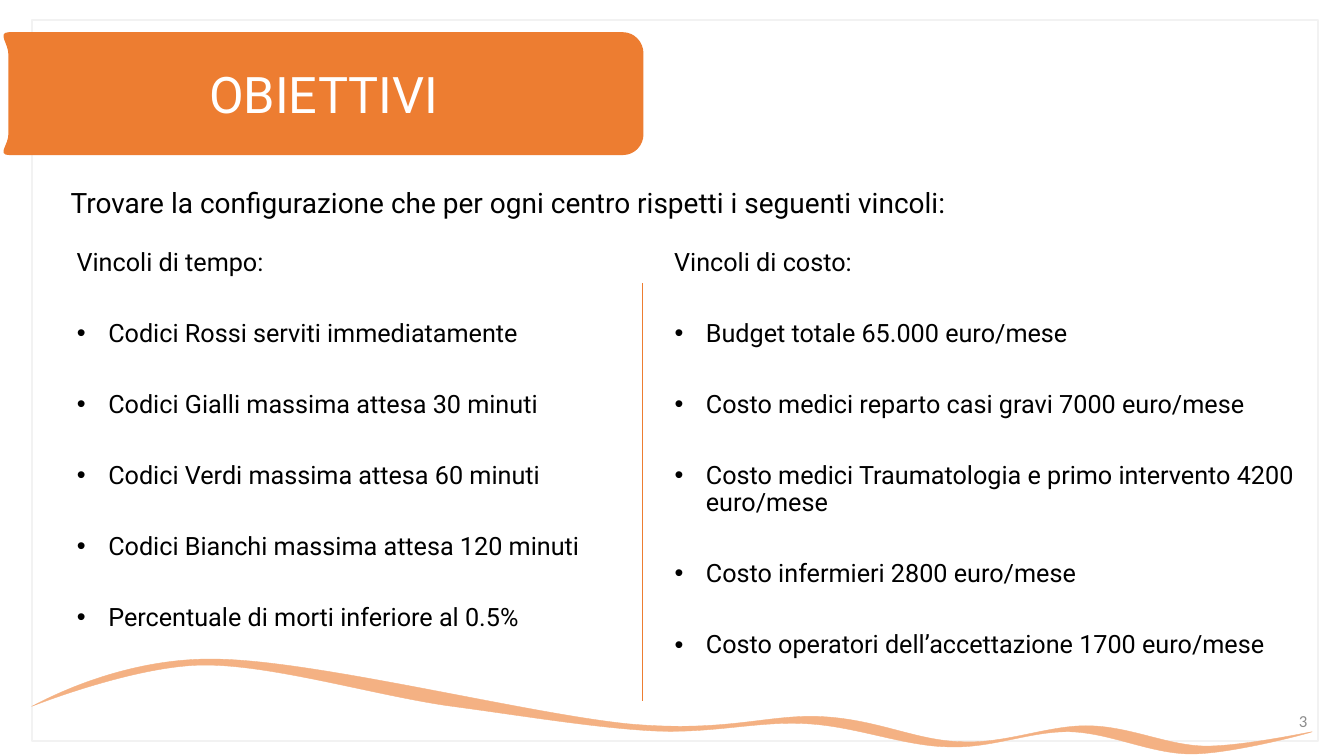
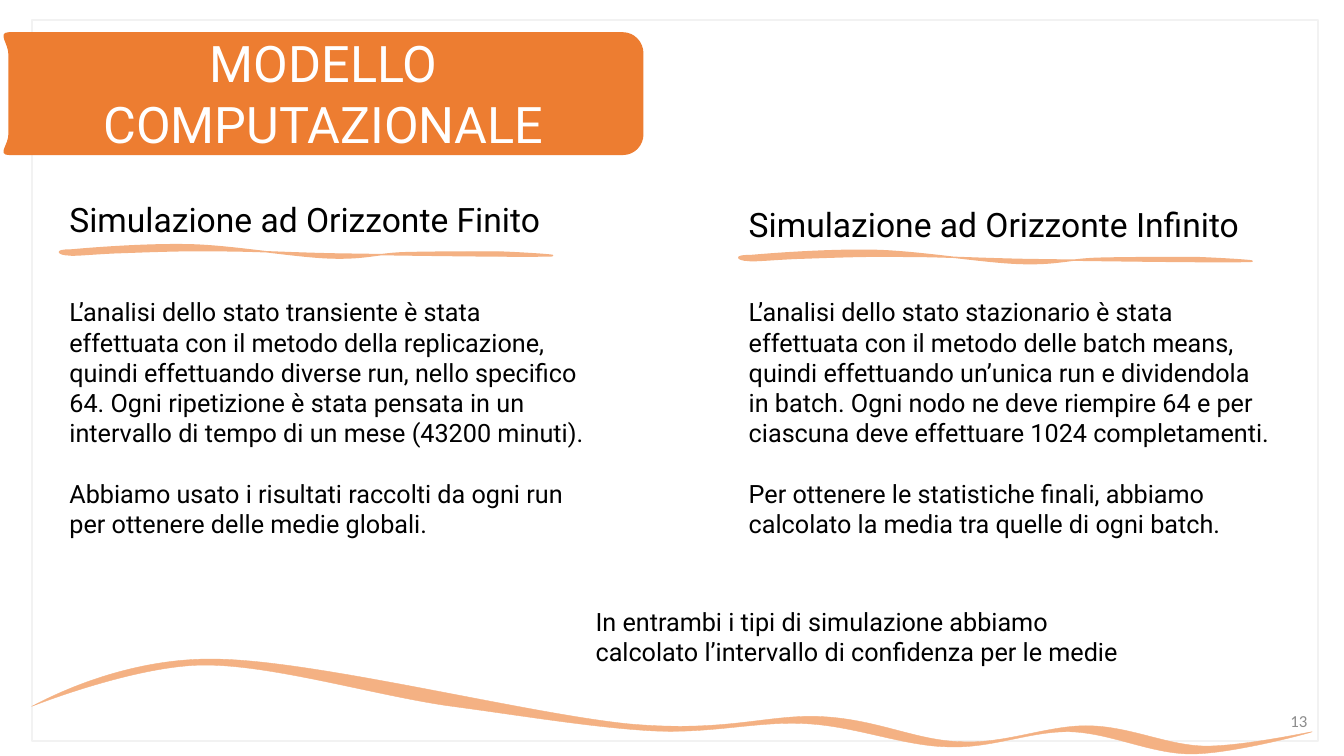
from dataclasses import dataclass

from lxml import etree
from pptx import Presentation
from pptx import util as u
from pptx.dml.color import RGBColor
from pptx.enum import shapes, text
from pptx.oxml.ns import qn
from pptx.util import Cm


@dataclass(frozen=True)
class Theme:
    band: str = "ED7D31"
    wave: str = "F4B183"
    frame: str = "F2F2F2"
    ink: str = "000000"
    light: str = "FFFFFF"
    grey: str = "8C8C8C"
    face: str = "Roboto"
    small: str = "Calibri"
    title: int = 36
    head: int = 24
    intro: int = 20
    body: int = 18
    num: int = 12


T = Theme()

GOALS = {
    "title": ["OBIETTIVI"],
    "number": "3",
    "intro": "Trovare la configurazione che per ogni centro rispetti i seguenti vincoli:",
    "columns": [
        (1.53, 15.39, "Vincoli di tempo:", [
            "Codici Rossi serviti immediatamente",
            "Codici Gialli massima attesa 30 minuti",
            "Codici Verdi massima attesa 60 minuti",
            "Codici Bianchi massima attesa 120 minuti",
            "Percentuale di morti inferiore al 0.5%",
        ]),
        (16.59, 16.99, "Vincoli di costo:", [
            "Budget totale 65.000 euro/mese",
            "Costo medici reparto casi gravi 7000 euro/mese",
            "Costo medici Traumatologia e primo intervento 4200 euro/mese",
            "Costo infermieri 2800 euro/mese",
            "Costo operatori dell’accettazione 1700 euro/mese",
        ]),
    ],
}

MODEL = {
    "title": ["MODELLO", "COMPUTAZIONALE"],
    "number": "13",
    # left, top of heading, stretch of underline, heading, paragraphs
    "columns": [
        (1.5, 4.88, 1, "Simulazione ad Orizzonte Finito", [
            "L’analisi dello stato transiente è stata effettuata con il metodo "
            "della replicazione, quindi effettuando diverse run, nello specifico "
            "64. Ogni ripetizione è stata pensata in un intervallo di tempo di "
            "un mese (43200 minuti).",
            "Abbiamo usato i risultati raccolti da ogni run per ottenere delle "
            "medie globali.",
        ]),
        (18.62, 5.02, 1.04, "Simulazione ad Orizzonte Infinito", [
            "L’analisi dello stato stazionario è stata effettuata con il metodo "
            "delle batch means, quindi effettuando un’unica run e dividendola in "
            "batch. Ogni nodo ne deve riempire 64 e per ciascuna deve effettuare "
            "1024 completamenti.",
            "Per ottenere le statistiche finali, abbiamo calcolato la media tra "
            "quelle di ogni batch.",
        ]),
    ],
    "note": "In entrambi i tipi di simulazione abbiamo calcolato l’intervallo di "
            "confidenza per le medie",
}

# Outlines in cm: a pair is a straight step, six numbers are a Bézier curve.
BAND = [
    (0.23, 1.37), (0.23, 1.09, -0.05, 0.83, 0.23, 0.83),
    (15.7, 0.83), (15.98, 0.83, 16.2, 1.07, 16.2, 1.35),
    (16.2, 3.38), (16.2, 3.66, 15.98, 3.89, 15.7, 3.89),
    (0.23, 3.89), (-0.05, 3.89, 0.23, 3.66, 0.23, 3.38),
    (0.23, 1.37),
]
WAVE = [
    (0.8, 17.8),
    (0.75, 17.82, 3.4, 16.76, 5.16, 16.76),
    (6.88, 16.76, 9.37, 17.5, 11.25, 17.78),
    (13.13, 18.03, 14.96, 18.34, 16.48, 18.42),
    (17.98, 18.49, 19.13, 18.16, 20.35, 18.24),
    (21.59, 18.31, 22.78, 18.8, 23.88, 18.82),
    (24.99, 18.87, 25.96, 18.42, 26.97, 18.44),
    (27.99, 18.47, 29.01, 19, 30.02, 19),
    (31.04, 19, 33.02, 18.47, 33.07, 18.44),
    (33.12, 18.42, 31.27, 18.82, 30.33, 18.8),
    (29.39, 18.77, 28.47, 18.31, 27.46, 18.29),
    (26.44, 18.26, 25.35, 18.75, 24.23, 18.69),
    (23.11, 18.67, 22.15, 18.14, 20.75, 18.06),
    (19.35, 17.98, 18.36, 18.47, 15.82, 18.24),
    (13.28, 17.98, 8.03, 16.66, 5.51, 16.61),
    (2.97, 16.54, 0.87, 17.78, 0.8, 17.8),
]
STROKE = [
    (0.3, 0.13),
    (0.84, 0.08, 2.24, -0.03, 3.33, 0),
    (4.39, 0.03, 5.92, 0.3, 6.81, 0.33),
    (7.7, 0.36, 7.95, 0.23, 8.66, 0.2),
    (9.37, 0.18, 10.44, 0.18, 11.05, 0.18),
    (11.63, 0.2, 12.93, 0.28, 12.24, 0.28),
    (11.56, 0.3, 8.31, 0.25, 6.93, 0.23),
    (5.56, 0.2, 4.95, 0.15, 4.01, 0.15),
    (3.1, 0.13, 2.03, 0.18, 1.4, 0.2),
    (0.74, 0.23, 0.36, 0.28, 0.2, 0.25),
    (0.03, 0.25, -0.2, 0.13, 0.3, 0.13),
]


def rgb(code):
    return RGBColor.from_string(code)


def trace(steps, count=16):
    """Sample an outline, to find how far its curves reach."""
    points = [steps[0][0]]
    for step in steps[1:]:
        if len(step) == 1:
            points += step
            continue
        knots = [points[-1], *step]
        for i in range(1, count + 1):
            t = i / count
            s = 1 - t
            parts = (s ** 3, 3 * s * s * t, 3 * s * t * t, t ** 3)
            points.append(tuple(
                round(sum(w * k[axis] for w, k in zip(parts, knots)))
                for axis in (0, 1)))
    return points


def curve(shape, steps):
    """Give a freeform true Bézier segments within its present bounds."""
    route = shape._element.spPr.find(".//" + qn("a:path"))
    for child in list(route):
        route.remove(child)
    for i, step in enumerate(steps):
        kind = "a:cubicBezTo" if len(step) == 3 else "a:lnTo" if i else "a:moveTo"
        part = etree.SubElement(route, qn(kind))
        for x, y in step:
            etree.SubElement(part, qn("a:pt"), x=str(x - shape.left), y=str(y - shape.top))
    etree.SubElement(route, qn("a:close"))


def outline(slide, steps, color, weight, left=0, top=0, stretch=1):
    steps = [[(Cm(left + x * stretch), Cm(top + y))
              for x, y in zip(step[::2], step[1::2])] for step in steps]
    points = trace(steps)
    pen = slide.shapes.build_freeform(*points[0])
    pen.add_line_segments(points[1:], close=True)
    shape = pen.convert_to_shape()
    curve(shape, steps)
    shape.shadow.inherit = False
    shape.fill.solid()
    shape.fill.fore_color.rgb = rgb(color)
    shape.line.color.rgb = rgb(color)
    shape.line.width = u.Pt(weight)


def write(para, words, size, color=T.ink, face=T.face):
    run = para.add_run()
    run.text = words
    run.font.size = u.Pt(size)
    run.font.name = face
    run.font.color.rgb = rgb(color)


def box(slide, left, top, width, height):
    frame = slide.shapes.add_textbox(Cm(left), Cm(top), Cm(width), Cm(height)).text_frame
    frame.word_wrap = True
    return frame


def fill(frame, lines, size, gap=0, color=T.ink):
    """Write one paragraph a line and return the paragraphs."""
    paras = []
    for i, line in enumerate(lines):
        para = frame.add_paragraph() if i else frame.paragraphs[0]
        if i < len(lines) - 1:
            para.space_after = u.Pt(gap)
        write(para, line, size, color)
        paras.append(para)
    return paras


def indent(para, left, first, bullet=False):
    props = para._p.get_or_add_pPr()
    props.set("marL", str(Cm(left)))
    props.set("indent", str(Cm(first)))
    if bullet:
        etree.SubElement(props, qn("a:buFont")).set("typeface", "Arial")
        etree.SubElement(props, qn("a:buChar")).set("char", "•")


def start(deck, data):
    """Add a slide with frame, band, title, wave and number."""
    slide = deck.slides.add_slide(deck.slide_layouts[5])
    frame = slide.shapes.add_shape(
        shapes.MSO_SHAPE.RECTANGLE, Cm(0.8), Cm(0.51), Cm(32.41), Cm(18.16))
    frame.shadow.inherit = False
    frame.fill.background()
    frame.line.color.rgb = rgb(T.frame)
    frame.line.width = u.Pt(1.5)
    outline(slide, BAND, T.band, 1)
    outline(slide, WAVE, T.wave, 0.25)

    title = slide.shapes.title
    title.left, title.top, title.width, title.height = (
        Cm(0.12), Cm(0.82), Cm(16.08), Cm(3.05))
    title.text_frame.auto_size = text.MSO_AUTO_SIZE.NONE
    title.text_frame.vertical_anchor = text.MSO_ANCHOR.MIDDLE
    for para in fill(title.text_frame, data["title"], T.title, color=T.light):
        para.alignment = text.PP_ALIGN.CENTER
        para.line_spacing = 1.0
        para.space_before = u.Pt(0)
    title._element.getparent().append(title._element)

    number = box(slide, 25.58, 17.65, 7.62, 1.02)
    number.vertical_anchor = text.MSO_ANCHOR.MIDDLE
    number.paragraphs[0].alignment = text.PP_ALIGN.RIGHT
    write(number.paragraphs[0], data["number"], T.num, T.grey, T.small)
    return slide


def goals(deck):
    slide = start(deck, GOALS)
    fill(box(slide, 1.53, 4.55, 31.67, 1.12), [GOALS["intro"]], T.intro)
    for left, width, head, items in GOALS["columns"]:
        frame = box(slide, left, 6.17, width, 12)
        for i, para in enumerate(fill(frame, [head] + items, T.body, 31.3)):
            if i:
                indent(para, 0.95, -0.79, True)
            else:
                indent(para, 0.15, 0)
            para.line_spacing = 0.9
    rule = slide.shapes.add_connector(
        shapes.MSO_CONNECTOR.STRAIGHT, Cm(16.18), Cm(7.14), Cm(16.18), Cm(17.66))
    rule.line.color.rgb = rgb(T.band)
    rule.line.width = u.Pt(0.5)
    etree.SubElement(rule._element.spPr, qn("a:effectLst"))


def model(deck):
    slide = start(deck, MODEL)
    for left, top, stretch, head, paras in MODEL["columns"]:
        fill(box(slide, left, top, 13.5, 1.27), [head], T.head)
        outline(slide, STROKE, T.wave, 1, left, top + 1.29, stretch)
        fill(box(slide, left, 7.35, 13.77, 6.4), paras, T.body, 21.6)
    fill(box(slide, 14.76, 15.15, 13.77, 1.8), [MODEL["note"]], T.body)


def main():
    deck = Presentation()
    deck.slide_width, deck.slide_height = Cm(33.87), Cm(19.05)
    goals(deck)
    model(deck)
    deck.save("out.pptx")


if __name__ == "__main__":
    main()
